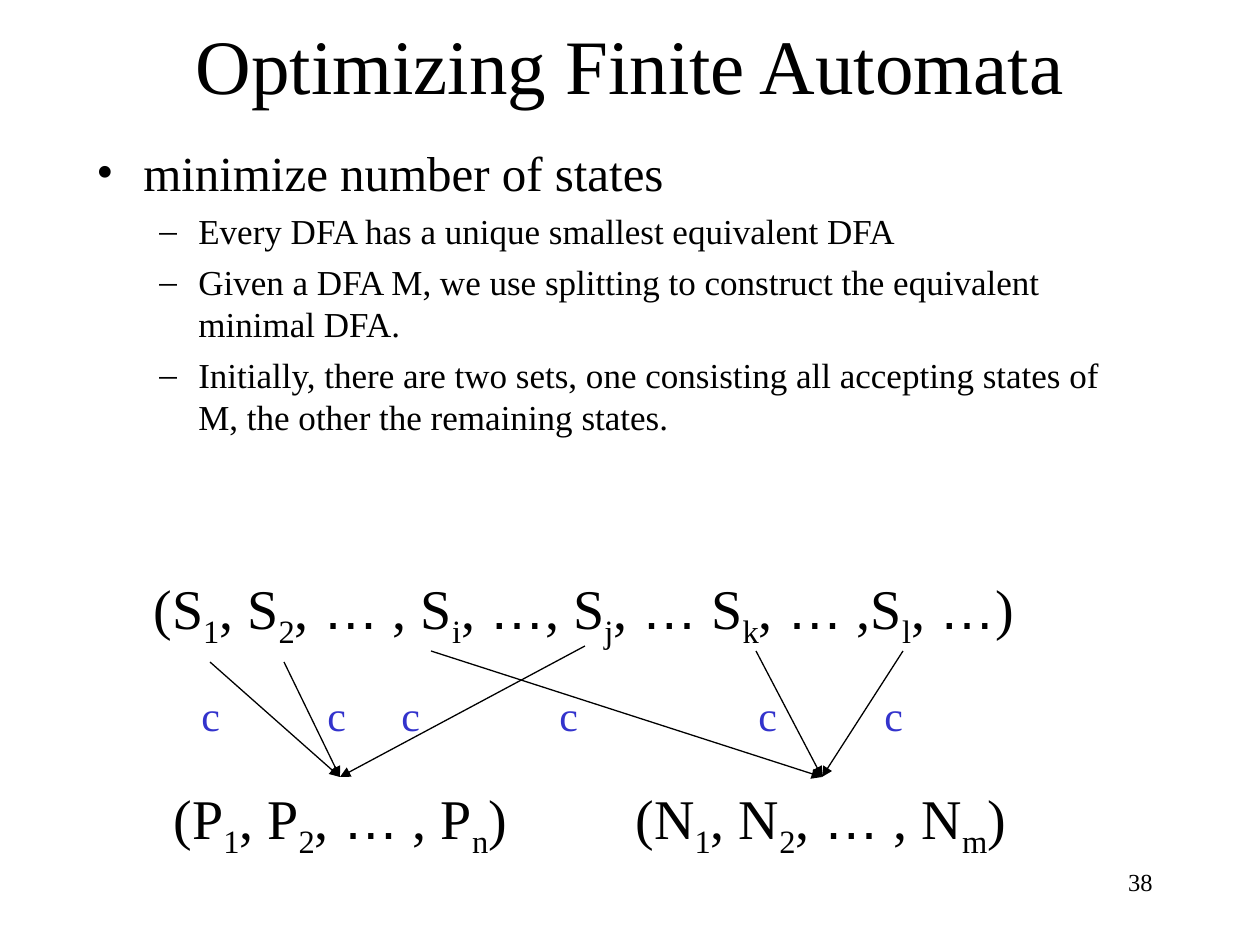
import itertools
import pptx
import pptx.dml.color
import pptx.enum.shapes
import pptx.enum.text
import pptx.oxml.ns
import pptx.util
from lxml import etree

PX = 914400 / 126
COLORS = {"ink": "000000", "label": "3333CC"}
SERIF, SANS = "Times New Roman", "Arial"
ALIGN = pptx.enum.text.PP_ALIGN
ANCHOR = pptx.enum.text.MSO_ANCHOR

title = "Optimizing Finite Automata"
outline = [
    (0, "minimize number of states"),
    (1, "Every DFA has a unique smallest equivalent DFA"),
    (1, "Given a DFA M, we use splitting to construct the equivalent minimal DFA."),
    (1, "Initially, there are two sets, one consisting all accepting states of M, "
        "the other the remaining states."),
]
levels = [
    {"size": 28, "bullet": "•", "margin": 47, "hanging": 47, "before": 7},
    {"size": 20, "bullet": "–", "margin": 102, "hanging": 39, "before": 5},
]
state_sets = [
    ("(S_1, S_2, … , S_i, …, S_j, … S_k, … ,S_l, …)", (141, 567, 888, 89)),
    ("(P_1, P_2, … , P_n)", (161, 777, 362, 89)),
    ("(N_1, N_2, … , N_m)", (623, 777, 398, 89)),
]
transitions = [
    ((340, 777), [(210, 662), (284, 662), (585, 646)]),
    ((822, 777), [(431, 651), (756, 651), (903, 651)]),
]
symbol, symbol_lefts = "c", [189, 315, 389, 547, 746, 872]
page_number = "38"


def emu(px):
    return pptx.util.Emu(round(px * PX))


def rgb(name):
    return pptx.dml.color.RGBColor.from_string(COLORS[name])


def add_child(parent, tag, **attributes):
    return etree.SubElement(parent, pptx.oxml.ns.qn(tag), **attributes)


def split_runs(text):
    marked = [(char, before == "_") for before, char in zip(" " + text, text) if char != "_"]
    for (subscript, dots), group in itertools.groupby(marked, lambda m: (m[1], m[0] == "…")):
        yield "".join(char for char, _ in group), subscript, SANS if dots else SERIF


def write(paragraph, text, size=32, color="ink", align=ALIGN.LEFT,
          bullet=None, margin=0, hanging=0, before=0):
    paragraph.alignment = align
    if bullet:
        properties = paragraph._p.get_or_add_pPr()
        properties.set("marL", str(emu(margin)))
        properties.set("indent", str(-emu(hanging)))
        add_child(properties, "a:buFont", typeface=SERIF)
        add_child(properties, "a:buChar", char=bullet)
    if before:
        paragraph.space_before = pptx.util.Pt(before)
    for part, subscript, face in split_runs(text):
        run = paragraph.add_run()
        run.text = part
        run.font.size = pptx.util.Pt(size)
        run.font.name = face
        run.font.color.rgb = rgb(color)
        if subscript:
            run.font._element.set("baseline", "-25000")


def add_frame(slide, box, wrap=True, anchor=ANCHOR.TOP):
    frame = slide.shapes.add_textbox(*map(emu, box)).text_frame
    frame.word_wrap = wrap
    frame.vertical_anchor = anchor
    if not wrap:
        frame.auto_size = pptx.enum.text.MSO_AUTO_SIZE.SHAPE_TO_FIT_TEXT
    return frame


def add_arrow(slide, start, end):
    arrow = slide.shapes.add_connector(
        pptx.enum.shapes.MSO_CONNECTOR.STRAIGHT, *map(emu, start + end))
    arrow.line.color.rgb = rgb("ink")
    arrow.line.width = pptx.util.Pt(0.75)
    add_child(arrow.line._get_or_add_ln(), "a:tailEnd", type="triangle")
    add_child(arrow._element.spPr, "a:effectLst")


def main():
    deck = pptx.Presentation()
    deck.slide_width, deck.slide_height = emu(1260), emu(945)
    slide = deck.slides.add_slide(deck.slide_layouts[6])

    heading = add_frame(slide, (95, 32, 1071, 63), anchor=ANCHOR.MIDDLE)
    write(heading.paragraphs[0], title, size=44, align=ALIGN.CENTER)

    body = add_frame(slide, (84, 136, 1071, 325))
    for index, (level, text) in enumerate(outline):
        paragraph = body.add_paragraph() if index else body.paragraphs[0]
        paragraph.level = level
        style = levels[level] if index else {**levels[level], "before": 0}
        write(paragraph, text, **style)

    for states, box in state_sets:
        write(add_frame(slide, box, wrap=False).paragraphs[0], states)

    for target, sources in transitions:
        for source in sources:
            add_arrow(slide, source, target)

    for left in symbol_lefts:
        label = add_frame(slide, (left, 683, 44, 63), wrap=False)
        write(label.paragraphs[0], symbol, size=24, color="label")

    footer = add_frame(slide, (903, 861, 262, 63))
    write(footer.paragraphs[0], page_number, size=14, align=ALIGN.RIGHT)
    deck.save("out.pptx")


if __name__ == "__main__":
    main()
